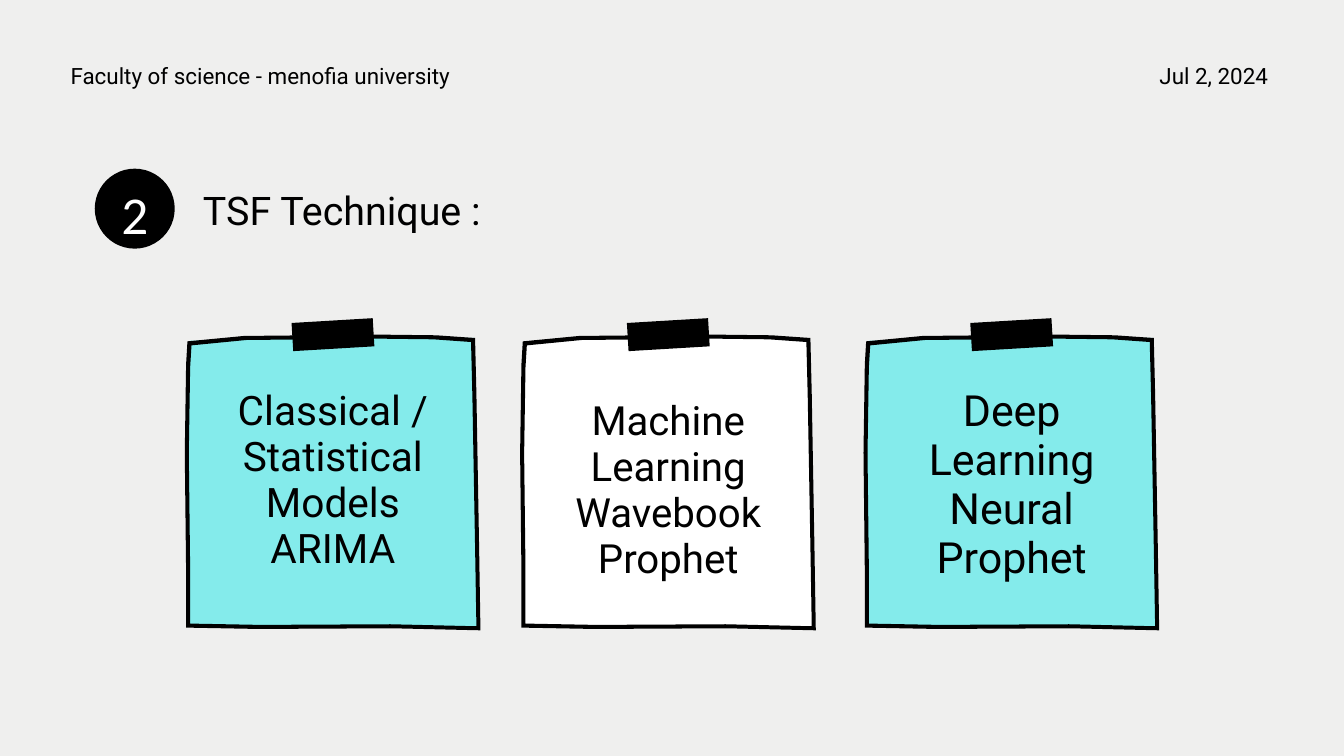
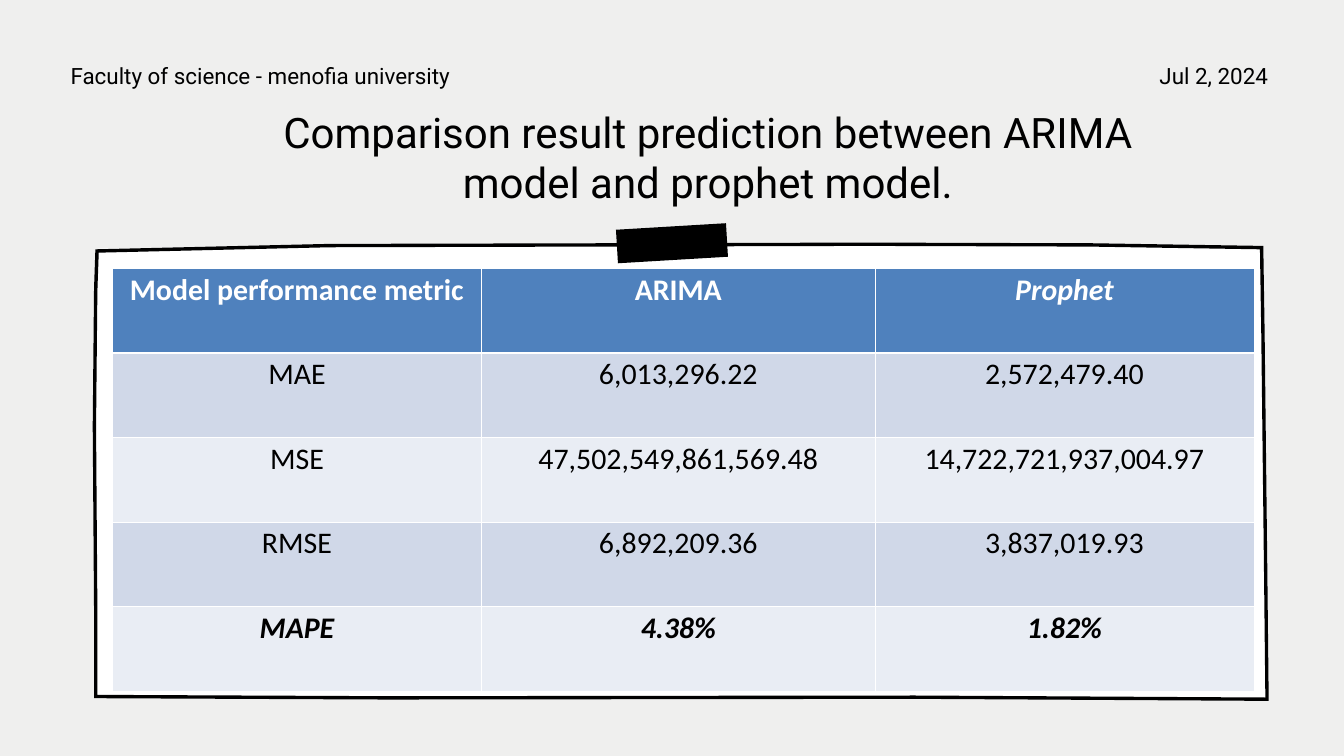
"""Build two slides on forecasting techniques: three taped notes and a metrics table."""
import pptx
import pptx.dml.color
import pptx.enum.shapes
import pptx.enum.text
import pptx.oxml
import pptx.oxml.ns
import pptx.util
from pptx.util import Inches, Pt

COLORS = {"page": "EFEFEE", "ink": "000000", "white": "FFFFFF", "aqua": "84EBEB",
          "header": "4F81BD", "band": "D0D8E8", "plain": "E9EDF4"}
ALIGN = pptx.enum.text.PP_ALIGN
SHAPE = pptx.enum.shapes.MSO_SHAPE

RUNNING_HEADS = [
    ("Faculty of science - menofia university", 1.05, ALIGN.LEFT),
    ("Jul 2, 2024", 12.08, ALIGN.RIGHT),
]
NOTES = [
    {"lines": ["Classical / Statistical Models", "ARIMA"], "left": 2.75,
     "fill": "aqua", "top": 5.76, "height": 2.81, "size": 43.5, "spacing": 49.5},
    {"lines": ["Machine Learning", "Wavebook", "Prophet"], "left": 7.74,
     "fill": "white", "top": 5.92, "height": 3.45, "size": 43.1, "spacing": 49.2},
    {"lines": ["Deep Learning", "Neural Prophet"], "left": 12.85,
     "fill": "aqua", "top": 5.75, "height": 2.94, "size": 46, "spacing": 52.4},
]
METRICS = [
    ("Model performance metric", "ARIMA", "Prophet"),
    ("MAE", "6,013,296.22", "2,572,479.40"),
    ("MSE", "47,502,549,861,569.48", "14,722,721,937,004.97"),
    ("RMSE", "6,892,209.36", "3,837,019.93"),
    ("MAPE", "4.38%", "1.82%"),
]
COLUMN_WIDTHS = [5.5, 5.85, 5.64]
ROW_HEIGHTS = [1.25] + [1.26] * 4

# Each outline point: share of width, share of height, then a fixed nudge in inches.
SHEET_POINTS = [(1, 1, 0, 0), (0, 1, 0, -0.02), (0, 0.36, 0, 0), (0, 0, 0.04, 0.05),
                (0.5, 0, 0, 0), (1, 0, -0.05, 0.01)]
INK_POINTS = [(1, 0, -0.08, 0.05), (1, 0.2, -0.06, 0), (1, 0.72, -0.02, 0), (1, 1, 0, 0),
              (0.7, 1, 0, -0.03), (0.25, 1, 0, -0.02), (0, 1, 0.02, -0.04),
              (0, 0.8, 0.02, 0), (0, 0.4, 0, 0), (0, 0.1, 0.02, 0), (0, 0, 0.04, 0.1),
              (0.2, 0, 0, 0.02), (0.66, 0, 0, 0), (0.85, 0, 0, 0.01)]


def rgb(name):
    return pptx.dml.color.RGBColor.from_string(COLORS[name])


def paint(item, color):
    item.fill.solid()
    item.fill.fore_color.rgb = rgb(color)


def finish(shape, color):
    paint(shape, color)
    shape.line.fill.background()
    shape.shadow.inherit = False


def set_format(target, values):
    for name, value in values.items():
        setattr(target, name, value)


def write(frame, lines, size, align, spacing=None, color="ink", font="Roboto", **style):
    for number, line in enumerate(lines):
        para = frame.paragraphs[0] if number == 0 else frame.add_paragraph()
        para.alignment = align
        if spacing:
            para.line_spacing = Pt(spacing)
        span = para.add_run()
        span.text = line
        set_format(span.font, {"name": font, "size": Pt(size), **style})
        span.font.color.rgb = rgb(color)


def fill_box(box, place, lines, size, align, spacing, **style):
    set_format(box, dict(zip(("left", "top", "width", "height"), map(Inches, place))))
    set_format(box.text_frame, {
        "margin_left": 0, "margin_top": 0, "margin_right": 0, "margin_bottom": 0,
        "word_wrap": True, "auto_size": pptx.enum.text.MSO_AUTO_SIZE.NONE,
        "vertical_anchor": pptx.enum.text.MSO_ANCHOR.TOP})
    write(box.text_frame, lines, size, align, spacing, **style)


def add_text(page, place, *content, **style):
    box = page.shapes.add_textbox(*map(Inches, place))
    fill_box(box, place, *content, **style)


def outline(points, left, top, width, height):
    return [(Inches(left + across * width + right), Inches(top + down * height + drop))
            for across, down, right, drop in points]


def add_freeform(page, contours, color):
    first, *others = contours
    builder = page.shapes.build_freeform(*first[0], scale=1.0)
    builder.add_line_segments(first[1:], close=True)
    for contour in others:
        builder.move_to(*contour[0])
        builder.add_line_segments(contour[1:], close=True)
    finish(builder.convert_to_shape(), color)


def add_paper(page, left, top, width, height, color, ink=0.06):
    sheet = outline(SHEET_POINTS, left + 0.04, top + 0.04, width - 0.08, height - 0.07)
    add_freeform(page, [sheet], color)
    outer = outline(INK_POINTS, left, top, width, height)
    inner = outline(INK_POINTS, left + ink, top + ink, width - 2 * ink, height - 2 * ink)
    add_freeform(page, [outer, inner], "ink")


def add_tape(page, *place):
    tape = page.shapes.add_shape(SHAPE.RECTANGLE, *map(Inches, place))
    tape.rotation = 356.6
    finish(tape, "ink")


def add_page(deck, title, place, size, align, spacing):
    page = deck.slides.add_slide(deck.slide_layouts[5])
    fill_box(page.shapes.title, place, [title], size, align, spacing)
    for text, left, side in RUNNING_HEADS:
        add_text(page, (left, 0.86, 6.79, 0.44), [text], 24, side, 33.6)
    return page


def add_border(cell, side, points):
    line = pptx.oxml.parse_xml(
        f'<a:{side} {pptx.oxml.ns.nsdecls("a")} w="{Pt(points)}"><a:solidFill>'
        f'<a:srgbClr val="{COLORS["white"]}"/></a:solidFill></a:{side}>')
    cell._tc.get_or_add_tcPr().append(line)


def add_metrics(page):
    frame = page.shapes.add_table(
        len(METRICS), len(COLUMN_WIDTHS), Inches(1.67), Inches(4),
        Inches(sum(COLUMN_WIDTHS)), Inches(sum(ROW_HEIGHTS)))
    table = frame.table
    for column, width in zip(table.columns, COLUMN_WIDTHS):
        column.width = Inches(width)
    for row, height in zip(table.rows, ROW_HEIGHTS):
        row.height = Inches(height)
    for down, values in enumerate(METRICS):
        header, last = down == 0, down == len(METRICS) - 1
        fill = "header" if header else "band" if down % 2 else "plain"
        for across, value in enumerate(values):
            cell = table.cell(down, across)
            for side in ("lnL", "lnR", "lnT", "lnB"):
                add_border(cell, side, 3 if header and side == "lnB" else 1)
            paint(cell, fill)
            write(cell.text_frame, [value], 32, ALIGN.CENTER, font="Calibri",
                  color="white" if header else "ink", bold=header or last,
                  italic=last or (header and across == 2))


def build_techniques(deck):
    page = add_page(deck, "TSF Technique :", (3.02, 2.77, 6.92, 0.73),
                    42.2, ALIGN.LEFT, 50.6)
    badge = page.shapes.add_shape(SHAPE.OVAL, *map(Inches, (1.41, 2.51, 1.19, 1.19)))
    finish(badge, "ink")
    add_text(page, (1.63, 2.54, 0.75, 1.04), ["2"], 57, ALIGN.CENTER, 79.8,
             color="white", font="Calibri")
    for note in NOTES:
        left = note["left"]
        add_paper(page, left, 4.98, 4.4, 4.4, note["fill"])
        add_text(page, (left + 0.47, note["top"], 3.47, note["height"]), note["lines"],
                 note["size"], ALIGN.CENTER, note["spacing"])
        add_tape(page, left + 1.6, 4.77, 1.21, 0.42)


def build_comparison(deck):
    page = add_page(
        deck, "Comparison result prediction between ARIMA model and prophet model.",
        (3.31, 1.58, 14.45, 1.53), 45, ALIGN.CENTER, 54)
    add_paper(page, 1.38, 3.61, 17.5, 6.82, "white", ink=0.05)
    add_tape(page, 9.18, 3.37, 1.64, 0.5)
    add_metrics(page)


def main():
    deck = pptx.Presentation()
    deck.slide_width, deck.slide_height = Inches(20), Inches(11.25)
    paint(deck.slide_master.background, "page")
    build_techniques(deck)
    build_comparison(deck)
    deck.save("out.pptx")


if __name__ == "__main__":
    main()
